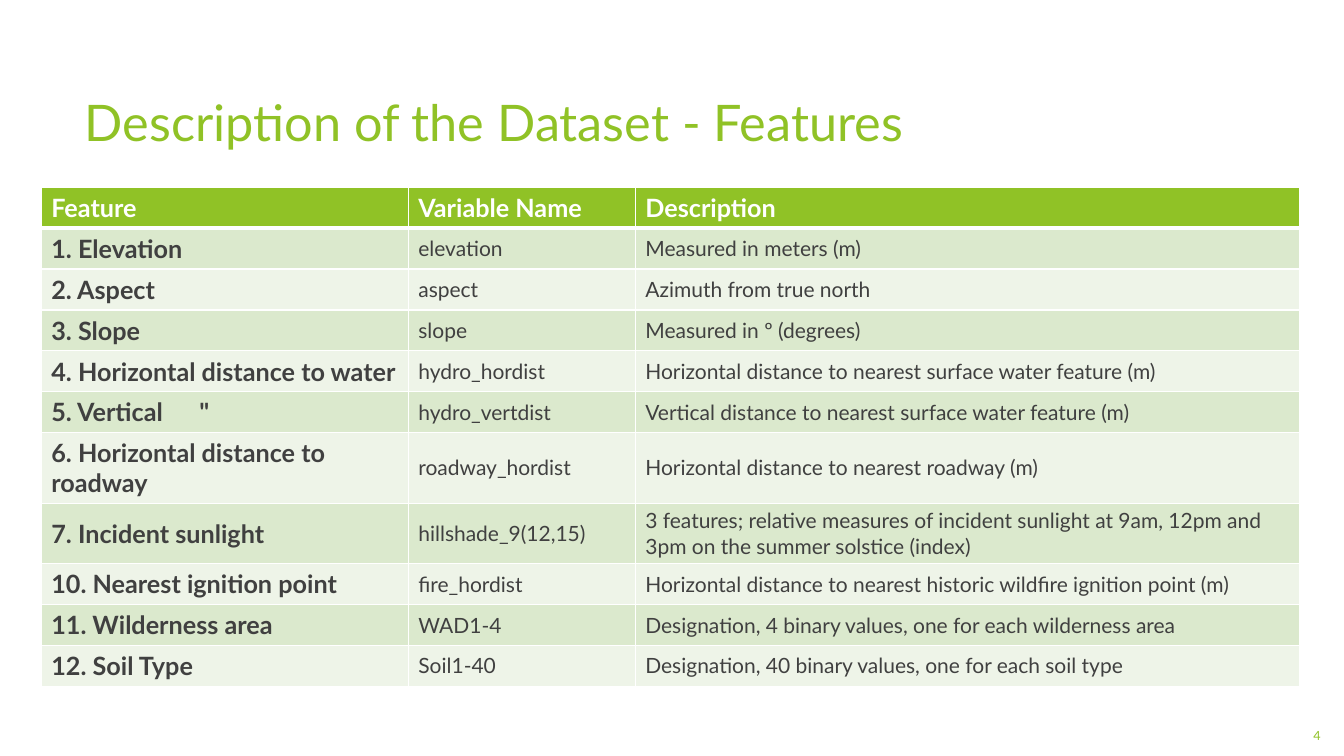
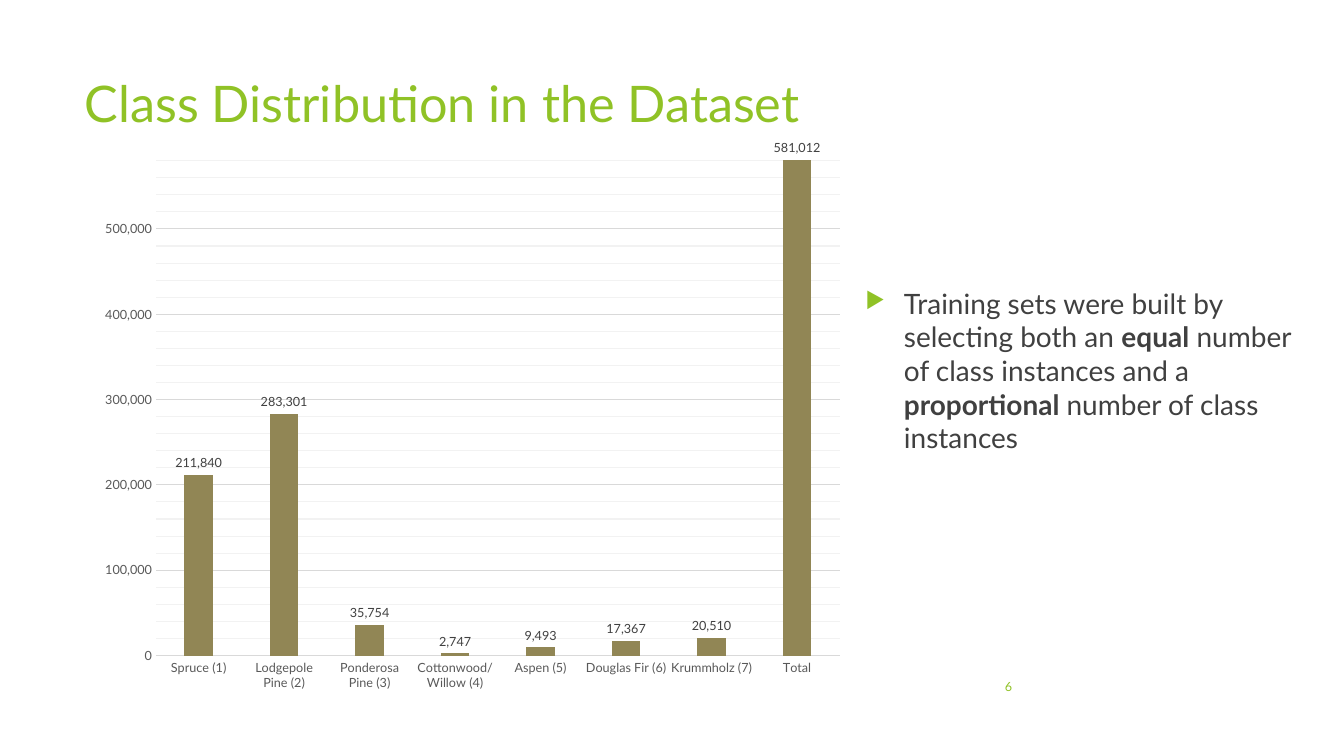
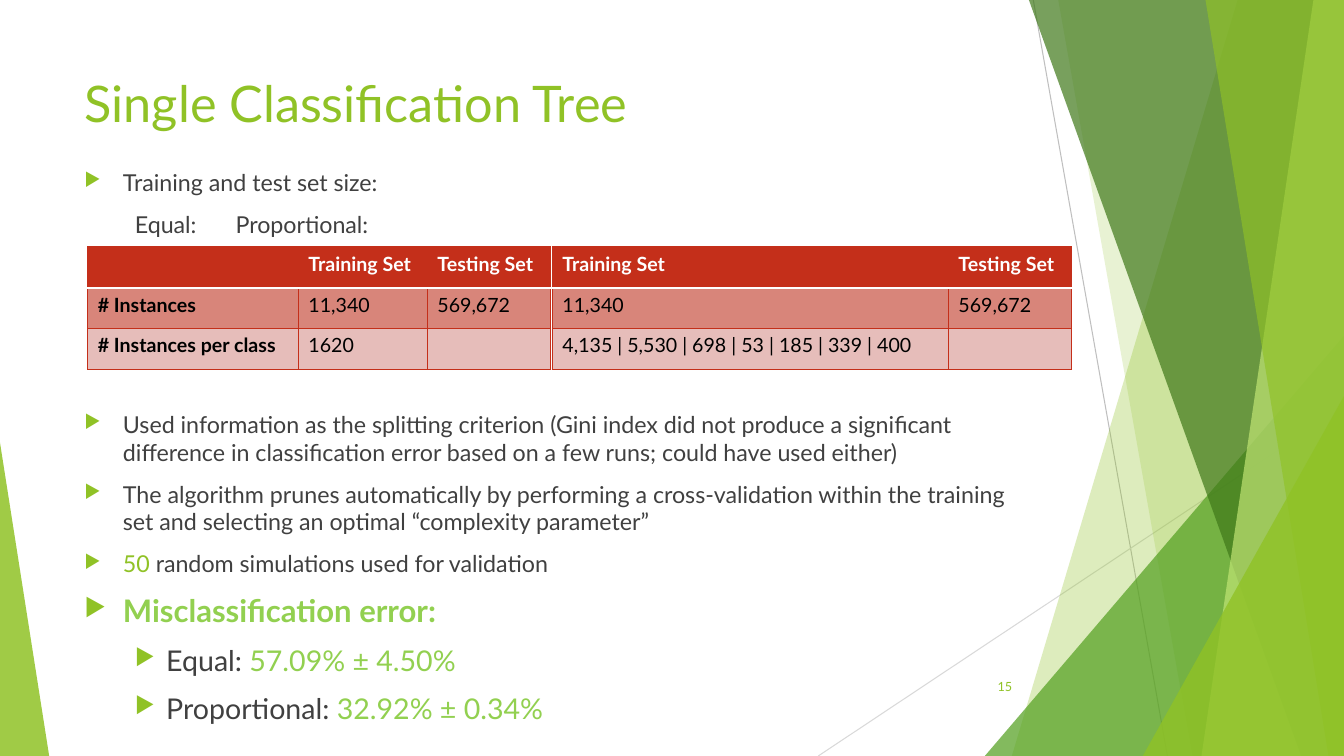
import dataclasses

import pptx
import pptx.chart.data
import pptx.dml.color
import pptx.enum.chart
import pptx.enum.shapes
import pptx.enum.text
import pptx.oxml
import pptx.oxml.ns
import pptx.util
from pptx.dml.color import RGBColor
from pptx.util import Cm, Pt

FONT = "Lato"
GREEN = RGBColor(0x90, 0xC2, 0x26)
LEAF = RGBColor(0x54, 0xA0, 0x21)
FOREST = RGBColor(0x3F, 0x78, 0x19)
LIME = RGBColor(0xC0, 0xE4, 0x74)
HIGHLIGHT = RGBColor(0x92, 0xD0, 0x50)
BAND_DARK = RGBColor(0xDB, 0xE9, 0xCD)
BAND_LIGHT = RGBColor(0xEE, 0xF4, 0xE8)
RED = RGBColor(0xC4, 0x2F, 0x1A)
ROSE = RGBColor(0xD8, 0x85, 0x7A)
PALE_ROSE = RGBColor(0xE6, 0xBD, 0xBA)
OLIVE = RGBColor(0x91, 0x86, 0x55)
TEXT = RGBColor(0x40, 0x40, 0x40)
AXIS_TEXT = RGBColor(0x59, 0x59, 0x59)
GRAY = RGBColor(0xBF, 0xBF, 0xBF)
GRID = RGBColor(0xD9, 0xD9, 0xD9)
MINOR_GRID = RGBColor(0xF2, 0xF2, 0xF2)
BLACK = RGBColor(0, 0, 0)
WHITE = RGBColor(0xFF, 0xFF, 0xFF)

SLIDE_WIDTH, SLIDE_HEIGHT = 33.87, 19.05
MARGIN = 1.88
CONTENT_WIDTH = 23.88
TITLE_TOP = 1.7
NUMBER_PLACE = (23.85, 16.79)


@dataclasses.dataclass
class TableStyle:
    header_fill: RGBColor
    bands: tuple
    rule: RGBColor
    header_rule_width: float
    header_size: float
    body_size: float
    text_color: RGBColor
    anchor: pptx.enum.text.MSO_ANCHOR


FEATURE_STYLE = TableStyle(GREEN, (BAND_DARK, BAND_LIGHT), WHITE, 3, 18, 15, TEXT,
                           pptx.enum.text.MSO_ANCHOR.MIDDLE)
SIZE_STYLE = TableStyle(RED, (ROSE, PALE_ROSE), RED, 1.5, 14, 14, BLACK,
                        pptx.enum.text.MSO_ANCHOR.TOP)

FEATURES = [
    ("Feature", "Variable Name", "Description"),
    ("1. Elevation", "elevation", "Measured in meters (m)"),
    ("2. Aspect", "aspect", "Azimuth from true north"),
    ("3. Slope", "slope", "Measured in º (degrees)"),
    ("4. Horizontal distance to water", "hydro_hordist",
     "Horizontal distance to nearest surface water feature (m)"),
    ("5. Vertical\t\"", "hydro_vertdist",
     "Vertical distance to nearest surface water feature (m)"),
    ("6. Horizontal distance to roadway", "roadway_hordist",
     "Horizontal distance to nearest roadway (m)"),
    ("7. Incident sunlight", "hillshade_9(12,15)",
     "3 features; relative measures of incident sunlight at 9am, 12pm and 3pm "
     "on the summer solstice (index)"),
    ("10. Nearest ignition point", "fire_hordist",
     "Horizontal distance to nearest historic wildfire ignition point (m)"),
    ("11. Wilderness area", "WAD1-4",
     "Designation, 4 binary values, one for each wilderness area"),
    ("12. Soil Type", "Soil1-40", "Designation, 40 binary values, one for each soil type"),
]
CLASS_COUNTS = {
    "Spruce (1)": 211840,
    "Lodgepole Pine (2)": 283301,
    "Ponderosa Pine (3)": 35754,
    "Cottonwood/Willow (4)": 2747,
    "Aspen (5)": 9493,
    "Douglas Fir (6)": 17367,
    "Krummholz (7)": 20510,
    "Total": 581012,
}
EQUAL_SIZES = [
    ("", "Training Set", "Testing Set"),
    ("# Instances", "11,340", "569,672"),
    ("# Instances per class", "1620", ""),
]
PROPORTIONAL_SIZES = [
    ("Training Set", "Testing Set"),
    ("11,340", "569,672"),
    ("4,135 | 5,530 | 698 | 53 | 185 | 339 | 400", ""),
]


def xml(markup):
    """Build an element from markup with the prefixes a and c."""
    namespaces = pptx.oxml.ns.nsdecls("a", "c")
    return pptx.oxml.parse_xml(f"<a:wrap {namespaces}>{markup}</a:wrap>")[0]


def write(paragraph, text, size=16.6, color=TEXT, bold=False):
    run = paragraph.add_run()
    run.text = text
    run.font.name = FONT
    run.font.size = Pt(size)
    run.font.color.rgb = color
    run.font.bold = bold


def add_text_frame(slide, left, top, width, height):
    frame = slide.shapes.add_textbox(Cm(left), Cm(top), Cm(width), Cm(height)).text_frame
    frame.word_wrap = True
    return frame


def set_indent(paragraph, left, hanging):
    properties = paragraph._p.get_or_add_pPr()
    properties.set("marL", str(Cm(left)))
    properties.set("indent", str(-Cm(hanging)))
    return properties


def set_tabs(paragraph, *positions):
    stops = "".join(f'<a:tab pos="{Cm(position)}" algn="l"/>' for position in positions)
    paragraph._p.get_or_add_pPr().append(xml(f"<a:tabLst>{stops}</a:tabLst>"))


def next_paragraph(frame, space_before=10):
    first = frame.paragraphs[0]
    paragraph = frame.add_paragraph() if first.runs else first
    paragraph.space_before = Pt(space_before)
    return paragraph


def add_bullet(frame, *parts, size=16.6, level=0, space_before=10):
    """Add a bulleted paragraph; each part is a text and its own format."""
    paragraph = next_paragraph(frame, space_before)
    paragraph.level = level
    properties = set_indent(paragraph, *((0.97, 0.97), (2.06, 0.79))[level])
    for markup in (f'<a:buClr><a:srgbClr val="{GREEN}"/></a:buClr>',
                   '<a:buSzPct val="80000"/>', '<a:buChar char="▶"/>'):
        properties.append(xml(markup))
    for text, text_format in parts:
        write(paragraph, text, size=size, **text_format)


def add_slide(deck, title, number, title_top=TITLE_TOP, number_place=NUMBER_PLACE):
    slide = deck.slides.add_slide(deck.slide_layouts[5])
    heading = slide.shapes.title
    heading.left, heading.top = Cm(MARGIN), Cm(title_top)
    heading.width, heading.height = Cm(CONTENT_WIDTH), Cm(3.66)
    frame = heading.text_frame
    frame.auto_size = pptx.enum.text.MSO_AUTO_SIZE.NONE
    frame.vertical_anchor = pptx.enum.text.MSO_ANCHOR.TOP
    frame.paragraphs[0].alignment = pptx.enum.text.PP_ALIGN.LEFT
    write(frame.paragraphs[0], title, size=36, color=GREEN)

    footer = add_text_frame(slide, *number_place, 1.91, 1.02)
    footer.vertical_anchor = pptx.enum.text.MSO_ANCHOR.MIDDLE
    footer.paragraphs[0].alignment = pptx.enum.text.PP_ALIGN.RIGHT
    write(footer.paragraphs[0], str(number), size=9, color=GREEN)
    return slide


def set_borders(cell, **borders):
    """Draw the sides L, R, T and B, each given as a colour and a width."""
    properties = cell._tc.get_or_add_tcPr()
    for position, side in enumerate("LRTB"):
        color, width = borders[side]
        properties.insert(position, xml(
            f'<a:ln{side} w="{Pt(width)}"><a:solidFill><a:srgbClr val="{color}"/>'
            f'</a:solidFill></a:ln{side}>'))


def add_table(slide, rows, left, top, widths, row_height, style, label_columns=1):
    table = slide.shapes.add_table(
        len(rows), len(widths), Cm(left), Cm(top),
        Cm(sum(widths)), Cm(row_height * len(rows))).table
    table.horz_banding = False
    for column, width in zip(table.columns, widths):
        column.width = Cm(width)
    rule, header_rule = (style.rule, 1), (WHITE, style.header_rule_width)
    for r, row in enumerate(rows):
        table.rows[r].height = Cm(row_height)
        for c, text in enumerate(row):
            cell = table.cell(r, c)
            cell.vertical_anchor = style.anchor
            cell.fill.solid()
            cell.fill.fore_color.rgb = style.bands[(r - 1) % 2] if r else style.header_fill
            set_borders(cell, L=rule, R=rule, T=header_rule if r == 1 else rule,
                        B=rule if r else header_rule)
            emphasized = r == 0 or c < label_columns
            if text:
                write(cell.text_frame.paragraphs[0], text, bold=emphasized,
                      size=style.header_size if emphasized else style.body_size,
                      color=style.text_color if r else WHITE)
    return table


def format_axis(axis, line_color=None):
    axis.major_tick_mark = axis.minor_tick_mark = pptx.enum.chart.XL_TICK_MARK.NONE
    format_font(axis.tick_labels.font, AXIS_TEXT)
    if line_color is None:
        axis.format.line.fill.background()
    else:
        format_line(axis.format.line, line_color)


def format_font(font, color):
    font.name, font.size = FONT, Pt(9)
    font.color.rgb = color


def format_line(line, color):
    line.color.rgb = color
    line.width = Pt(0.75)


def add_class_chart(slide):
    data = pptx.chart.data.CategoryChartData(number_format="#,##0")
    data.categories = list(CLASS_COUNTS)
    data.add_series("Series 1", list(CLASS_COUNTS.values()))
    chart = slide.shapes.add_chart(
        pptx.enum.chart.XL_CHART_TYPE.COLUMN_CLUSTERED,
        Cm(2.29), Cm(3.53), Cm(19.28), Cm(14.15), data).chart
    chart.has_legend = chart.has_title = False
    format_font(chart.font, BLACK)
    format_axis(chart.category_axis, GRID)

    counts = chart.value_axis
    format_axis(counts)
    counts.minimum_scale, counts.maximum_scale = 0, 585000
    counts.major_unit, counts.minor_unit = 100000, 20000
    counts.has_major_gridlines = counts.has_minor_gridlines = True
    format_line(counts.major_gridlines.format.line, GRID)
    minor_gridlines = counts._element.find(pptx.oxml.ns.qn("c:minorGridlines"))
    minor_gridlines.append(xml(
        f'<c:spPr><a:ln w="{Pt(0.75)}"><a:solidFill><a:srgbClr val="{MINOR_GRID}"/>'
        '</a:solidFill></a:ln></c:spPr>'))
    counts.tick_labels.number_format = "#,##0"
    counts.tick_labels.number_format_is_linked = False

    plot = chart.plots[0]
    plot.gap_width = 199
    plot.vary_by_categories = False
    bars = plot.series[0].format.fill
    bars.solid()
    bars.fore_color.rgb = OLIVE
    plot.has_data_labels = True
    labels = plot.data_labels
    labels.show_value = True
    labels.number_format, labels.number_format_is_linked = "#,##0", False
    labels.position = pptx.enum.chart.XL_LABEL_POSITION.OUTSIDE_END
    format_font(labels.font, TEXT)
    place_plot(chart, x=0.085, y=0.028, w=0.894, h=0.89)


def place_plot(chart, **fractions):
    """Fix the inner plot area as fractions of the chart."""
    area = chart._chartSpace.chart.plotArea
    for layout in area.findall(pptx.oxml.ns.qn("c:layout")):
        area.remove(layout)
    sizes = "".join(f'<c:{name} val="{value}"/>' for name, value in fractions.items())
    area.insert(0, xml(
        '<c:layout><c:manualLayout>'
        '<c:layoutTarget val="inner"/><c:xMode val="edge"/><c:yMode val="edge"/>'
        f'{sizes}</c:manualLayout></c:layout>'))


def fill_glass(shape, color, opacity):
    """Fill without outline or shadow, opacity in percent."""
    shape.shadow.inherit = False
    shape.line.fill.background()
    shape.fill.solid()
    shape.fill.fore_color.rgb = color
    shade = shape._element.spPr.find(".//" + pptx.oxml.ns.qn("a:srgbClr"))
    shade.append(xml(f'<a:alpha val="{opacity * 1000}"/>'))


def add_facet(slide, top_x, bottom_x, color, opacity):
    """Fill from a slanted left edge to the right edge of the slide."""
    builder = slide.shapes.build_freeform(Cm(top_x), 0, scale=1.0)
    builder.add_line_segments([
        (Cm(SLIDE_WIDTH), 0), (Cm(SLIDE_WIDTH), Cm(SLIDE_HEIGHT)),
        (Cm(bottom_x), Cm(SLIDE_HEIGHT))], close=True)
    fill_glass(builder.convert_to_shape(), color, opacity)


def add_corner(slide, left, top, width, peak, color, opacity):
    """Stand a triangle on the bottom edge, its peak at 0 (left) or 1 (right)."""
    corner = slide.shapes.add_shape(
        pptx.enum.shapes.MSO_SHAPE.ISOSCELES_TRIANGLE,
        Cm(left), Cm(top), Cm(width), Cm(SLIDE_HEIGHT - top))
    corner.adjustments[0] = peak
    fill_glass(corner, color, opacity)


def add_hairline(slide, start_x, start_y, end_x, end_y, color):
    hairline = slide.shapes.add_connector(
        pptx.enum.shapes.MSO_CONNECTOR.STRAIGHT,
        Cm(start_x), Cm(start_y), Cm(end_x), Cm(end_y))
    format_line(hairline.line, color)
    hairline._element.spPr.append(xml("<a:effectLst/>"))


def add_facets(slide):
    add_hairline(slide, 26.04, 0, 29.42, SLIDE_HEIGHT, GRAY)
    add_hairline(slide, SLIDE_WIDTH, 10.24, 20.62, SLIDE_HEIGHT, GRID)
    add_facet(slide, 31.19, 25.5, GREEN, 30)
    add_facet(slide, 26.67, 30.05, GREEN, 20)
    add_corner(slide, 24.82, 8.46, 9.05, 1, LEAF, 72)
    add_facet(slide, 25.93, 32.79, FOREST, 70)
    add_facet(slide, 33.1, 30.28, LIME, 70)
    add_facet(slide, 30.38, 33.48, GREEN, 65)
    add_corner(slide, 28.8, 9.98, 5.07, 1, GREEN, 80)
    add_corner(slide, 0, 11.15, 1.24, 0, GREEN, 85)


def add_features_slide(deck):
    slide = add_slide(deck, "Description of the Dataset - Features", 4,
                      title_top=2.16, number_place=(31.62, 18.03))
    table = add_table(slide, FEATURES, 1.04, 4.72, (9.25, 5.72, 16.73), 1.03, FEATURE_STYLE)
    set_tabs(table.cell(5, 0).text_frame.paragraphs[0], 3.73)


def add_distribution_slide(deck):
    slide = add_slide(deck, "Class Distribution in the Dataset", 6)
    add_class_chart(slide)
    strong = {"bold": True}
    add_bullet(add_text_frame(slide, 21.56, 7.09, 11.66, 5.61),
               ("Training sets were built by selecting both an ", {}), ("equal", strong),
               (" number of class instances and a ", {}), ("proportional ", strong),
               ("number of class instances", {}), size=20)


def add_tree_slide(deck):
    slide = add_slide(deck, "Single Classification Tree", 15)
    add_facets(slide)
    body = add_text_frame(slide, MARGIN, 4.11, CONTENT_WIDTH, 13.69)
    add_bullet(body, ("Training and test set size:", {}))
    captions = next_paragraph(body)
    set_indent(captions, 0, 0)
    set_tabs(captions, 3.91, 12.98)
    write(captions, "\tEqual:\tProportional:")
    add_bullet(body, ("Used information as the splitting criterion (Gini index did not produce "
                      "a significant difference in classification error based on a few runs; "
                      "could have used either)", {}), space_before=123)
    add_bullet(body, ("The algorithm prunes automatically by performing a cross-validation "
                      "within the training set and selecting an optimal “complexity "
                      "parameter”", {}))
    add_bullet(body, ("50", {"color": GREEN}), (" random simulations used for validation", {}))
    add_bullet(body, ("Misclassification error:", {"color": HIGHLIGHT, "bold": True}), size=22.2)
    for label, error in (("Equal: ", "57.09% ± 4.50%"), ("Proportional: ", "32.92% ± 0.34%")):
        add_bullet(body, (label, {}), (error, {"color": HIGHLIGHT}), size=20.4, level=1)
    add_table(slide, EQUAL_SIZES, 2.21, 6.22, (5.31, 3.25, 3.1), 1.03, SIZE_STYLE)
    add_table(slide, PROPORTIONAL_SIZES, 13.92, 6.22, (9.98, 3.1), 1.03, SIZE_STYLE,
              label_columns=0)


def main():
    deck = pptx.Presentation()
    deck.slide_width, deck.slide_height = Cm(SLIDE_WIDTH), Cm(SLIDE_HEIGHT)
    add_features_slide(deck)
    add_distribution_slide(deck)
    add_tree_slide(deck)
    deck.save("out.pptx")


if __name__ == "__main__":
    main()
